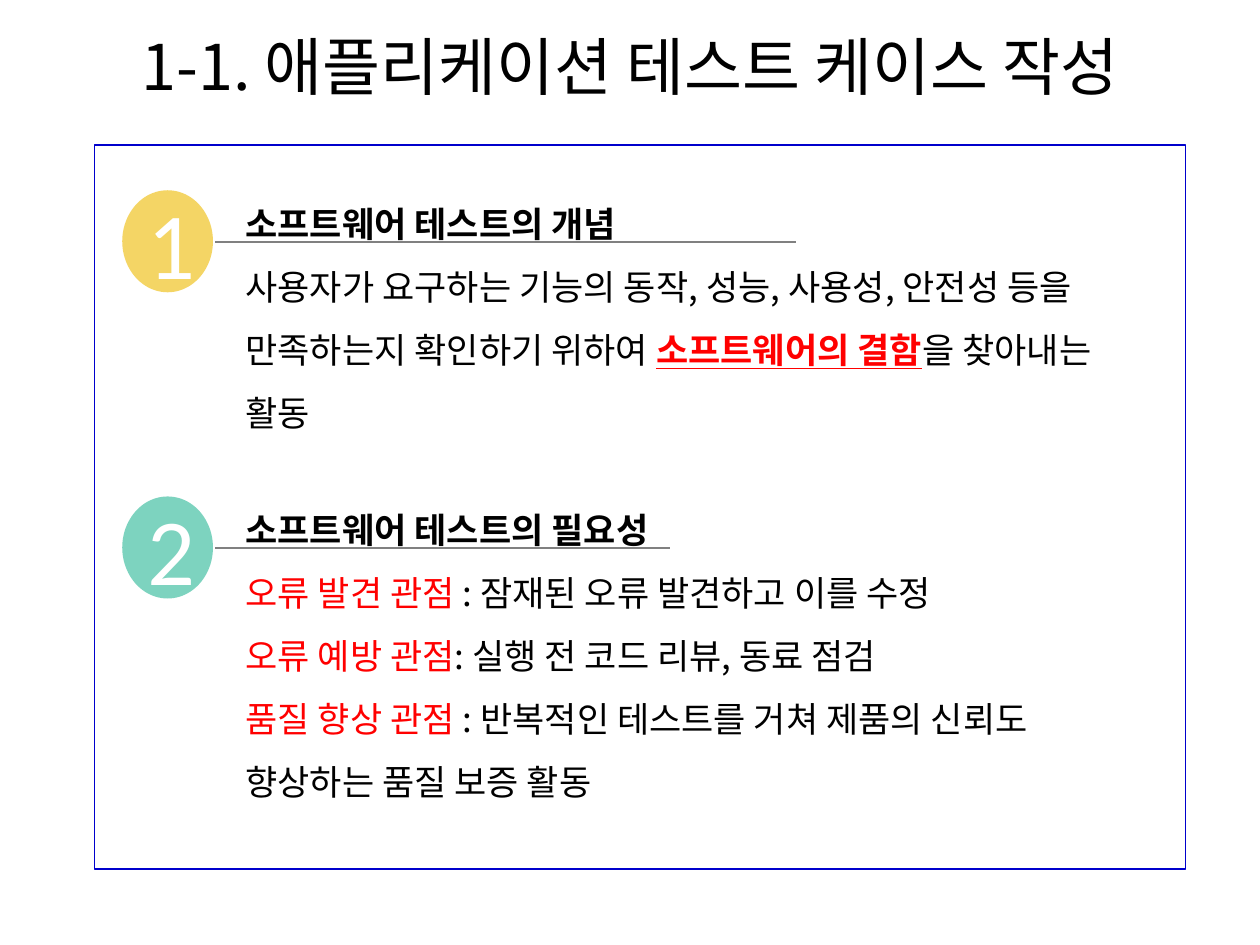
from lxml import etree
from pptx import Presentation
from pptx.dml.color import RGBColor
from pptx.enum.shapes import MSO_CONNECTOR, MSO_SHAPE
from pptx.enum.text import MSO_ANCHOR, PP_ALIGN
from pptx.oxml.ns import qn
from pptx.util import Inches, Pt

STRAIGHT = MSO_CONNECTOR.STRAIGHT
OVAL, RECTANGLE = MSO_SHAPE.OVAL, MSO_SHAPE.RECTANGLE
MIDDLE, CENTER = MSO_ANCHOR.MIDDLE, PP_ALIGN.CENTER

THEME = {
    "text": "000000", "accent": "FF0000", "white": "FFFFFF",
    "frame": "0000CC", "rule": "808080",
    "korean": "Noto Sans CJK KR", "latin": "Calibri",
    "title_size": 36, "body_size": 20, "number_size": 54,
}


def color(value):
    return RGBColor.from_string(value)


def add_span(para, text, size, ink="text", font="korean", bold=False, underline=False):
    span = para.add_run()
    span.text = text
    span.font.size = Pt(THEME[size])
    span.font.name = THEME[font]
    span.font.bold = bold
    span.font.underline = underline
    span.font.color.rgb = color(THEME[ink])
    east_asian = etree.SubElement(span._r.get_or_add_rPr(), qn("a:ea"))
    east_asian.set("typeface", THEME[font])


deck = Presentation()
deck.slide_width, deck.slide_height = Inches(10), Inches(7.5)
page = deck.slides.add_slide(deck.slide_layouts[6])

# Title
title = page.shapes.add_textbox(Inches(0.12), Inches(0.05), Inches(9.76), Inches(0.94))
title.text_frame.word_wrap = True
title.text_frame.vertical_anchor = MIDDLE
para = title.text_frame.paragraphs[0]
para.alignment = CENTER
add_span(para, "1-1. 애플리케이션 테스트 케이스 작성", "title_size")

# Frame around both sections
frame = page.shapes.add_shape(RECTANGLE, Inches(0.75), Inches(1.15), Inches(8.66), Inches(5.75))
frame.shadow.inherit = False
frame.fill.background()
frame.line.color.rgb = color(THEME["frame"])
frame.line.width = Pt(1)

# Each section: number, badge colour, top, text height, rule end, paragraphs of styled spans
plain = {}
heading = {"bold": True}
red = {"ink": "accent"}
key_term = {"ink": "accent", "bold": True, "underline": True}
sections = [
    ("1", "F0C424", 1.39, 2.12, 6.32, [
        [("소프트웨어 테스트의 개념", heading)],
        [("사용자가 요구하는 기능의 동작, 성능, 사용성, 안전성 등을 만족하는지 확인하기 위하여 ", plain),
         ("소프트웨어의 결함", key_term),
         ("을 찾아내는 활동", plain)],
    ]),
    ("2", "46C1A4", 3.82, 2.63, 5.32, [
        [("소프트웨어 테스트의 필요성", heading)],
        [("오류 발견 관점 ", red), (": 잠재된 오류 발견하고 이를 수정", plain)],
        [("오류 예방 관점", red), (": 실행 전 코드 리뷰, 동료 점검", plain)],
        [("품질 향상 관점 ", red),
         (": 반복적인 테스트를 거쳐 제품의 신뢰도 향상하는 품질 보증 활동", plain)],
    ]),
]

for number, badge_color, top, height, rule_end, paragraphs in sections:
    # Translucent number badge
    badge = page.shapes.add_shape(OVAL, Inches(0.97), Inches(top + 0.12), Inches(0.72), Inches(0.81))
    badge.shadow.inherit = False
    badge.fill.solid()
    badge.fill.fore_color.rgb = color(badge_color)
    fill_color = badge._element.spPr.find(qn("a:solidFill")).find(qn("a:srgbClr"))
    etree.SubElement(fill_color, qn("a:alpha")).set("val", "70000")
    badge.line.fill.background()
    badge.text_frame.vertical_anchor = MIDDLE
    para = badge.text_frame.paragraphs[0]
    para.alignment = CENTER
    add_span(para, number, "number_size", ink="white", font="latin")

    # Rule under the heading
    rule_y = Inches(top + 0.53)
    rule = page.shapes.add_connector(STRAIGHT, Inches(1.71), rule_y, Inches(rule_end), rule_y)
    rule.line.color.rgb = color(THEME["rule"])
    rule.line.width = Pt(0.75)
    etree.SubElement(rule._element.spPr, qn("a:effectLst"))

    # Heading and body
    box = page.shapes.add_textbox(Inches(1.85), Inches(top), Inches(7.18), Inches(height))
    box.text_frame.word_wrap = True
    for index, spans in enumerate(paragraphs):
        para = box.text_frame.add_paragraph() if index else box.text_frame.paragraphs[0]
        para.line_spacing = 1.5
        for text, style in spans:
            add_span(para, text, "body_size", **style)

deck.save("out.pptx")
